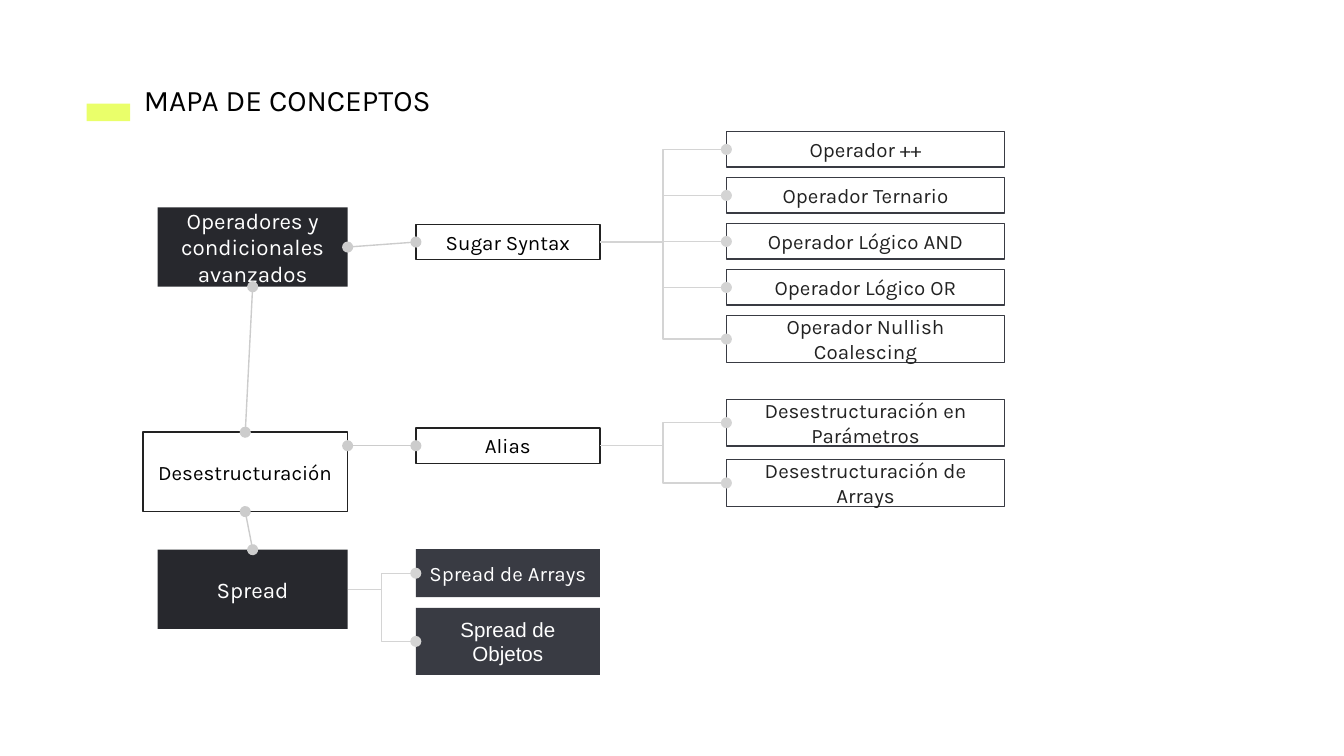
from pptx import Presentation
from pptx.dml.color import RGBColor
from pptx.enum.shapes import MSO_CONNECTOR, MSO_SHAPE
from pptx.enum.text import MSO_ANCHOR, MSO_AUTO_SIZE, PP_ALIGN
from pptx.oxml.ns import qn
from pptx.util import Cm, Pt
from lxml import etree

RECTANGLE = MSO_SHAPE.RECTANGLE
STRAIGHT, ELBOW = MSO_CONNECTOR.STRAIGHT, MSO_CONNECTOR.ELBOW
TOP, LEFT, BOTTOM, RIGHT = range(4)
TITLE_ONLY = 5
FONT = "Karla"
INSET = 0.25

COLORS = {
    "accent": "EAFF6A", "black": "000000", "white": "FFFFFF", "ink": "222222",
    "dark": "27282D", "slate": "393B43", "link": "CCCCCC", "branch": "D4D4D4",
}
# Style: fill, line, text colour, text size
STYLES = {
    "topic": ("dark", None, "white", 12),
    "outline": (None, "ink", "black", 11),
    "leaf": ("white", "slate", "ink", 11),
    "dark leaf": ("slate", None, "white", 11),
}


def color(name):
    return RGBColor.from_string(COLORS[name])


def set_insets(frame):
    frame.margin_left = frame.margin_right = Cm(INSET)
    frame.margin_top = frame.margin_bottom = Cm(INSET)


def add_text(paragraph, text, size, color_name, font=FONT):
    run = paragraph.add_run()
    run.text = text
    run.font.name = font
    run.font.size = Pt(size)
    run.font.color.rgb = color(color_name)


def add_rectangle(slide, left, top, width, height, fill, line):
    shape = slide.shapes.add_shape(
        RECTANGLE, Cm(left), Cm(top), Cm(width), Cm(height))
    shape.shadow.inherit = False
    if fill:
        shape.fill.solid()
        shape.fill.fore_color.rgb = color(fill)
    else:
        shape.fill.background()
    if line:
        shape.line.color.rgb = color(line)
        shape.line.width = Pt(0.75)
    else:
        shape.line.fill.background()
    return shape


def add_concept(slide, text, left, top, width, height, style, font=FONT):
    fill, line, text_color, size = STYLES[style]
    shape = add_rectangle(slide, left, top, width, height, fill, line)
    frame = shape.text_frame
    set_insets(frame)
    frame.word_wrap = True
    frame.vertical_anchor = MSO_ANCHOR.MIDDLE
    paragraph = frame.paragraphs[0]
    paragraph.alignment = PP_ALIGN.CENTER
    add_text(paragraph, text, size, text_color, font)
    return shape


def add_link(slide, kind, start, end, color_name, ovals):
    """Join two (shape, side) pairs; ovals names the ends that get a dot."""
    connector = slide.shapes.add_connector(kind, 0, 0, 0, 0)
    connector.begin_connect(*start)
    connector.end_connect(*end)
    connector.line.color.rgb = color(color_name)
    connector.line.width = Pt(0.75)
    line = connector.line._get_or_add_ln()
    for end_name in ovals:
        etree.SubElement(line, qn(f"a:{end_name}"), type="oval")
    etree.SubElement(connector._element.spPr, qn("a:effectLst"))
    return connector


def link(slide, start, end):
    return add_link(slide, STRAIGHT, start, end, "link", ("headEnd", "tailEnd"))


def add_heading(slide, left, top, width, height):
    add_rectangle(slide, left, top + 0.66, 0.82, 0.33, "accent", None)
    title = slide.shapes.title
    title.left, title.top = Cm(left + 0.83), Cm(top)
    title.width, title.height = Cm(width - 0.83), Cm(height)
    frame = title.text_frame
    set_insets(frame)
    frame.word_wrap = True
    frame.auto_size = MSO_AUTO_SIZE.SHAPE_TO_FIT_TEXT
    frame.vertical_anchor = MSO_ANCHOR.TOP
    paragraph = frame.paragraphs[0]
    paragraph.alignment = PP_ALIGN.LEFT
    add_text(paragraph, "MAPA DE CONCEPTOS", 16, "black")


def add_topics(slide, left, top, width):
    """Column of main topics; the middle one sticks out to the left."""
    height, overhang = 1.5, 0.28
    operators = add_concept(slide, "Operadores y condicionales avanzados",
                            left, top, width, height, "topic")
    destructuring = add_concept(slide, "Desestructuración", left - overhang,
                                top + 4.25, width + overhang, height, "outline")
    spread = add_concept(slide, "Spread", left, top + 6.47, width, height, "topic")
    link(slide, (destructuring, BOTTOM), (spread, TOP))
    link(slide, (destructuring, TOP), (operators, BOTTOM))
    return operators, destructuring, spread


def add_subtopics(slide, operators, destructuring, left, top, width):
    height = 0.67
    sugar = add_concept(slide, "Sugar Syntax", left, top, width, height, "outline")
    alias = add_concept(slide, "Alias", left, top + 3.85, width, height, "outline")
    link(slide, (operators, RIGHT), (sugar, LEFT))
    level = link(slide, (destructuring, RIGHT), (alias, LEFT))
    # The link to Alias runs level, so it leaves above the middle of the side
    start = level._element.nvCxnSpPr.cNvCxnSpPr
    start.remove(start.stCxn)
    level.begin_y = level.end_y
    return sugar, alias


def add_branch(slide, parent, leaves, left, top, width, gap, style):
    """Stack of (text, height, font) leaves, each joined to the parent."""
    for text, height, font in leaves:
        leaf = add_concept(slide, text, left, top, width, height, style, font)
        add_link(slide, ELBOW, (leaf, LEFT), (parent, RIGHT), "branch", ("headEnd",))
        top += height + gap


def main():
    presentation = Presentation()
    presentation.slide_width, presentation.slide_height = Cm(25.4), Cm(14.29)
    slide = presentation.slides.add_slide(presentation.slide_layouts[TITLE_ONLY])
    slide.background.fill.solid()
    slide.background.fill.fore_color.rgb = color("white")

    add_heading(slide, 1.64, 1.3, 7.66, 1.19)
    operators, destructuring, spread = add_topics(slide, 2.98, 3.92, 3.59)
    sugar, alias = add_subtopics(slide, operators, destructuring, 7.86, 4.24, 3.48)
    add_branch(slide, sugar, [
        ("Operador ++", 0.67, FONT),
        ("Operador Ternario", 0.67, FONT),
        ("Operador Lógico AND", 0.67, FONT),
        ("Operador Lógico OR", 0.67, FONT),
        ("Operador Nullish Coalescing", 0.88, FONT),
    ], 13.73, 2.49, 5.26, 0.2, "leaf")
    add_branch(slide, alias, [
        ("Desestructuración en Parámetros", 0.88, FONT),
        ("Desestructuración de Arrays", 0.88, FONT),
    ], 13.73, 7.55, 5.26, 0.26, "leaf")
    add_branch(slide, spread, [
        ("Spread de Arrays", 0.91, FONT),
        ("Spread de Objetos", 1.27, "Arial"),
    ], 7.86, 10.38, 3.48, 0.2, "dark leaf")
    presentation.save("out.pptx")


if __name__ == "__main__":
    main()
